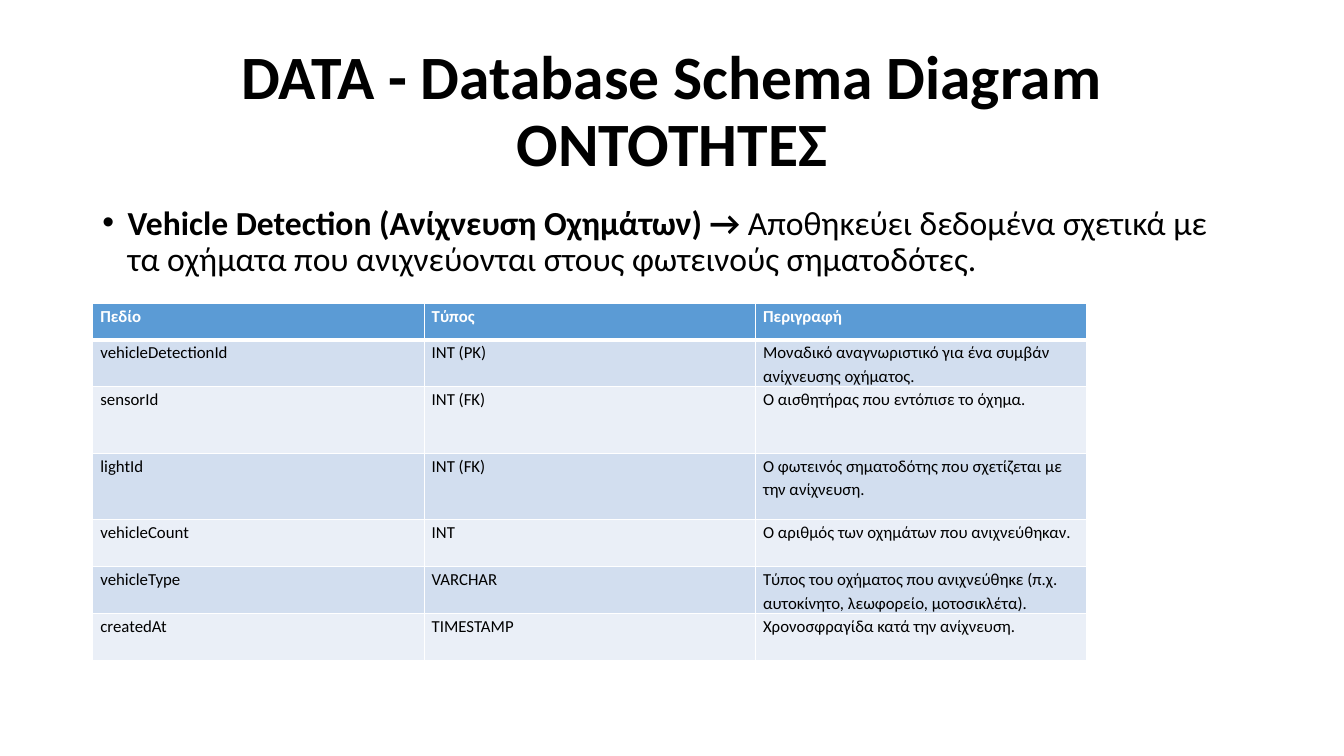
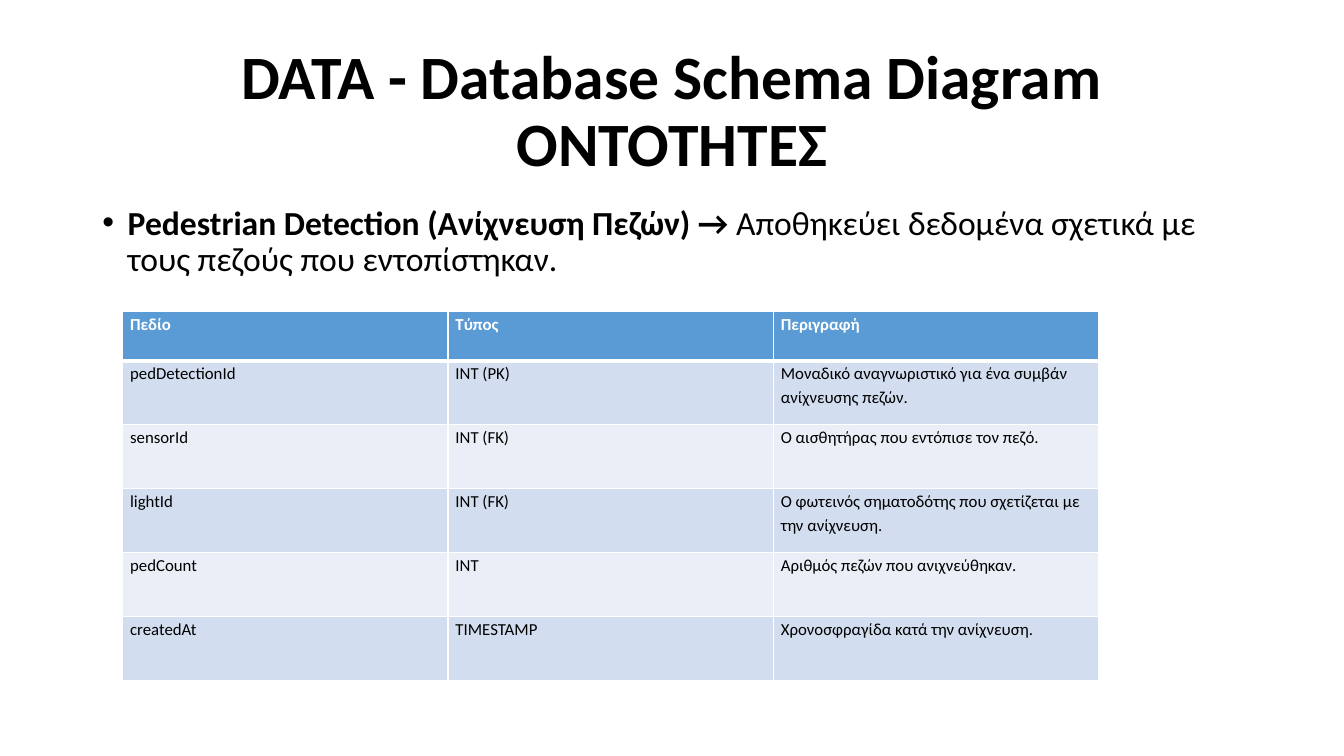
"""Builds two slides that each describe one entity of a database schema."""
from dataclasses import dataclass

from lxml.etree import SubElement as Sub
from pptx import Presentation as Deck
from pptx.dml.color import RGBColor as Rgb
from pptx.enum.text import MSO_ANCHOR as Anchor, PP_ALIGN as Align
from pptx.oxml.ns import qn
from pptx.util import Cm, Pt

FONT = "Calibri"
BLACK, WHITE, BLUE = "000000", "FFFFFF", "5B9BD5"
BANDS = ("D2DEEF", "EAEFF7")
TITLE = "DATA - Database Schema Diagram\nΟΝΤΟΤΗΤΕΣ"
HEAD = ("Πεδίο", "Τύπος", "Περιγραφή")
LEFT, WIDE = 2.33, 29.21


@dataclass
class Row:
    cells: tuple[str, str, str]
    high: float


@dataclass
class Entity:
    name: str
    note: str
    left: float
    top: float
    col: float
    rows: list[Row]


ENTITIES = [
    Entity(
        "Vehicle Detection (Ανίχνευση Οχημάτων) → ",
        "Αποθηκεύει δεδομένα σχετικά με τα οχήματα που ανιχνεύονται στους φωτεινούς σηματοδότες.",
        2.34, 7.65, 8.35,
        [
            Row(HEAD, 0.91),
            Row(("vehicleDetectionId", "INT (PK)",
                 "Μοναδικό αναγνωριστικό για ένα συμβάν ανίχνευσης οχήματος."), 1.18),
            Row(("sensorId", "INT (FK)", "Ο αισθητήρας που εντόπισε το όχημα."), 1.68),
            Row(("lightId", "INT (FK)",
                 "Ο φωτεινός σηματοδότης που σχετίζεται με την ανίχνευση."), 1.68),
            Row(("vehicleCount", "INT", "Ο αριθμός των οχημάτων που ανιχνεύθηκαν."), 1.18),
            Row(("vehicleType", "VARCHAR",
                 "Τύπος του οχήματος που ανιχνεύθηκε (π.χ. αυτοκίνητο, λεωφορείο, μοτοσικλέτα)."), 1.18),
            Row(("createdAt", "TIMESTAMP", "Χρονοσφραγίδα κατά την ανίχνευση."), 1.18),
        ],
    ),
    Entity(
        "Pedestrian Detection (Ανίχνευση Πεζών) → ",
        "Αποθηκεύει δεδομένα σχετικά με τους πεζούς που εντοπίστηκαν.",
        3.09, 7.85, 8.2,
        [
            Row(HEAD, 1.24),
            Row(("pedDetectionId", "INT (PK)",
                 "Μοναδικό αναγνωριστικό για ένα συμβάν ανίχνευσης πεζών."), 1.61),
            Row(("sensorId", "INT (FK)", "Ο αισθητήρας που εντόπισε τον πεζό."), 1.61),
            Row(("lightId", "INT (FK)",
                 "Ο φωτεινός σηματοδότης που σχετίζεται με την ανίχνευση."), 1.61),
            Row(("pedCount", "INT", "Αριθμός πεζών που ανιχνεύθηκαν."), 1.61),
            Row(("createdAt", "TIMESTAMP", "Χρονοσφραγίδα κατά την ανίχνευση."), 1.61),
        ],
    ),
]


def tint(part, code: str) -> None:
    part.rgb = Rgb.from_string(code)


def style(run, size: float, bold: bool, code: str = BLACK) -> None:
    font = run.font
    font.name, font.size, font.bold = FONT, Pt(size), bold
    tint(font.color, code)


def add_box(slide, top: float, high: float):
    box = slide.shapes.add_textbox(Cm(LEFT), Cm(top), Cm(WIDE), Cm(high))
    frame = box.text_frame
    frame.word_wrap = True
    frame.paragraphs[0].line_spacing = 0.9
    return frame


def add_title(slide) -> None:
    frame = add_box(slide, 1.01, 3.68)
    frame.vertical_anchor = Anchor.MIDDLE
    para = frame.paragraphs[0]
    para.alignment = Align.CENTER
    para.text = TITLE
    for run in para.runs:
        style(run, 44, True)


def add_bullet(para) -> None:
    props = para._p.get_or_add_pPr()
    props.set("marL", str(Cm(0.64)))
    props.set("indent", str(-Cm(0.64)))
    Sub(props, qn("a:buFont"), typeface="Arial")
    Sub(props, qn("a:buChar"), char="•")


def add_body(slide, entity: Entity) -> None:
    para = add_box(slide, 5.07, 12.09).paragraphs[0]
    add_bullet(para)
    para.text = entity.name
    para.add_run().text = entity.note
    for run, bold in zip(para.runs, (True, False)):
        style(run, 24, bold)


def add_edges(cell, top: float, base: float) -> None:
    props = cell._tc.get_or_add_tcPr()
    for side, width in (("L", 1), ("R", 1), ("T", top), ("B", base)):
        line = Sub(props, qn(f"a:ln{side}"), w=str(Pt(width)))
        Sub(Sub(line, qn("a:solidFill")), qn("a:srgbClr"), val=WHITE)


def fill_cell(cell, text: str, level: int) -> None:
    head = level == 0
    cell.margin_left = cell.margin_right = Cm(0.19)
    cell.margin_top = cell.margin_bottom = Cm(0)
    add_edges(cell, 3 if level == 1 else 1, 3 if head else 1)
    cell.fill.solid()
    tint(cell.fill.fore_color, BLUE if head else BANDS[(level - 1) % 2])
    para = cell.text_frame.paragraphs[0]
    para.line_spacing = 1.15
    para.text = text
    style(para.runs[0], 12, head, WHITE if head else BLACK)


def add_grid(slide, entity: Entity) -> None:
    rows, count = entity.rows, len(HEAD)
    grid = slide.shapes.add_table(
        len(rows), count, Cm(entity.left), Cm(entity.top),
        Cm(entity.col * count), Cm(sum(row.high for row in rows)),
    ).table
    grid.horz_banding = False
    for col in grid.columns:
        col.width = Cm(entity.col)
    for level, row in enumerate(rows):
        grid.rows[level].height = Cm(row.high)
        for index, text in enumerate(row.cells):
            fill_cell(grid.cell(level, index), text, level)


def main() -> None:
    deck = Deck()
    deck.slide_width, deck.slide_height = Cm(33.87), Cm(19.05)
    for entity in ENTITIES:
        slide = deck.slides.add_slide(deck.slide_layouts[6])
        add_title(slide)
        add_body(slide, entity)
        add_grid(slide, entity)
    deck.save("out.pptx")


if __name__ == "__main__":
    main()
